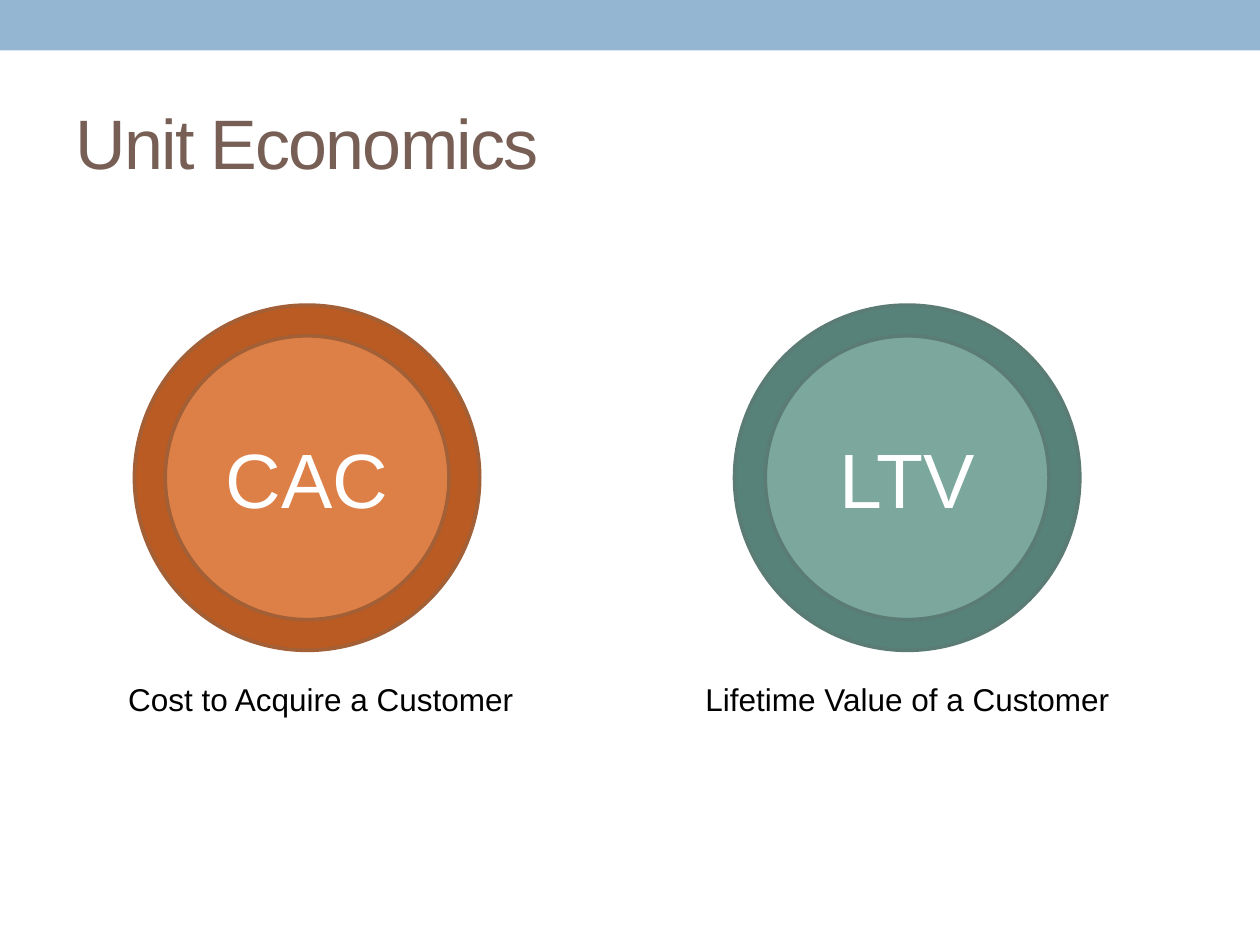
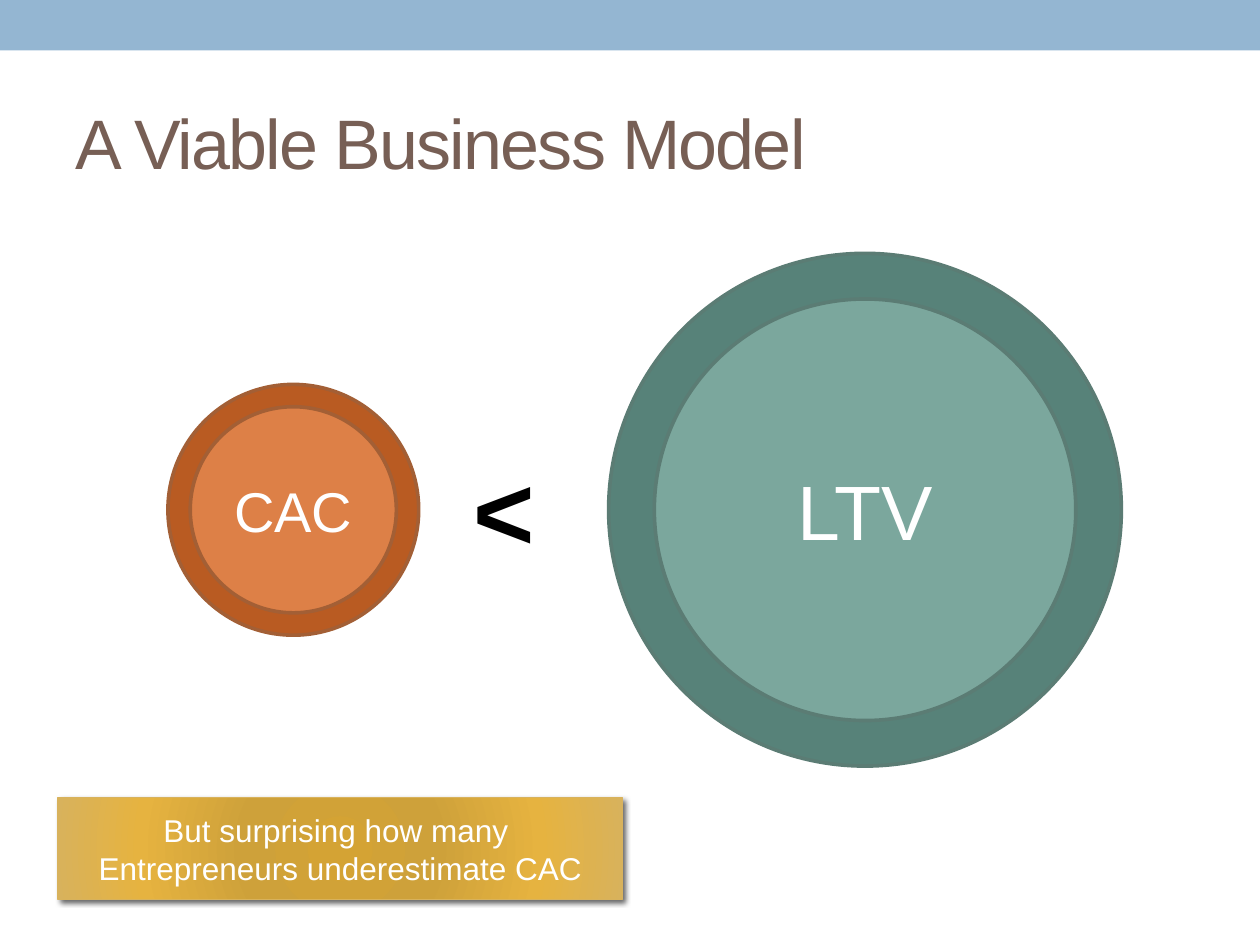
from lxml import etree
from pptx import Presentation
from pptx.dml.color import RGBColor
from pptx.enum.shapes import MSO_SHAPE as Shape
from pptx.enum.text import MSO_ANCHOR as Anchor, MSO_AUTO_SIZE as AutoSize, PP_ALIGN as Align
from pptx.oxml import parse_xml
from pptx.oxml.ns import nsdecls
from pptx.util import Pt

# Content: lengths in points
COLORS = {
    "band": "94B6D2", "title": "775F55", "black": "000000", "white": "FFFFFF",
    "note_line": "D8B25C",
}
DISC_COLORS = {
    "CAC": {"ring": "B95B22", "core": "DD8047", "line": "A35F35"},
    "LTV": {"ring": "578279", "core": "7BA79D", "line": "5B7C74"},
}
NOTE_STOPS = [(0, "D4A334"), (34, "CEA13A"), (70, "E6B340"), (100, "D8B25C")]
FONT = "Arial"
CORE_RATIO = 0.822

# discs: label, centre x, centre y, diameter, text size
# texts: lines, (left, top, width, height), size, bold, alignment
SLIDES = [
    {
        "title": "Unit Economics",
        "discs": [("CAC", 175.5, 273, 197.3, 44), ("LTV", 518.4, 273, 197.3, 44)],
        "texts": [
            (["Cost to Acquire a Customer"], (64.8, 385.2, 236.9, 28.8), 18, False, Align.CENTER),
            (["Lifetime Value of a Customer"], (394.6, 385.2, 247.7, 28.8), 18, False, Align.CENTER),
        ],
    },
    {
        "title": "A Viable Business Model",
        "discs": [("CAC", 167.6, 291.3, 143.3, 32), ("LTV", 494.3, 291.3, 293, 44)],
        "texts": [(["<"], (263.5, 251.3, 51.1, 79.9), 60, True, Align.LEFT)],
        "note": (["But surprising how many ", "Entrepreneurs underestimate CAC"],
                 (33.1, 455.8, 322.6, 58.3)),
    },
]


# Helpers
def rgb(code):
    return RGBColor.from_string(code)


def write(box, lines, size, color, align=Align.LEFT, bold=False, wrap=True, anchor=Anchor.MIDDLE):
    frame = box.text_frame
    frame.word_wrap = wrap
    frame.vertical_anchor = anchor
    para = frame.paragraphs[0]
    para.alignment = align
    for number, line in enumerate(lines):
        if number:
            para.add_line_break()
        span = para.add_run()
        span.text = line
        span.font.name = FONT
        span.font.size = Pt(size)
        span.font.bold = bold
        span.font.color.rgb = rgb(color)
    return para


def add_text(page, lines, place, size, color, **style):
    box = page.shapes.add_textbox(*map(Pt, place))
    return write(box, lines, size, color, **style)


def add_filled(shapes, kind, place, fill, line=None, width=0):
    shape = shapes.add_shape(kind, *map(Pt, place))
    shape.shadow.inherit = False
    shape.fill.solid()
    shape.fill.fore_color.rgb = rgb(fill)
    if line:
        shape.line.color.rgb = rgb(line)
        shape.line.width = Pt(width)
    else:
        shape.line.fill.background()
    return shape


def add_disc(page, label, center_x, center_y, diameter, size):
    group = page.shapes.add_group_shape()
    colors = DISC_COLORS[label]
    for part, across in (("ring", diameter), ("core", diameter * CORE_RATIO)):
        place = (center_x - across / 2, center_y - across / 2, across, across)
        circle = add_filled(group.shapes, Shape.OVAL, place, colors[part], colors["line"], 2.08)
    write(circle, [label], size, COLORS["white"], align=Align.CENTER)


def add_note(page, lines, place):
    note = add_filled(page.shapes, Shape.RECTANGLE, place, NOTE_STOPS[0][1], COLORS["note_line"], 0.75)
    props = note.element.spPr
    # Radial gradient
    stops = "".join(f'<a:gs pos="{position * 1000}"><a:srgbClr val="{color}"/></a:gs>'
                    for position, color in NOTE_STOPS)
    gradient = parse_xml(
        f'<a:gradFill {nsdecls("a")} rotWithShape="1"><a:gsLst>{stops}</a:gsLst><a:path path="circle">'
        '<a:fillToRect l="100000" t="100000" r="100000" b="100000"/></a:path></a:gradFill>')
    namespaces = {"a": etree.QName(gradient).namespace}
    props.replace(props.find("a:solidFill", namespaces), gradient)
    # Soft shadow to the lower right
    props.find("a:effectLst", namespaces).append(parse_xml(
        f'<a:outerShdw {nsdecls("a")} blurRad="{Pt(3)}" dist="{Pt(2)}" dir="2700000" algn="tl" '
        f'rotWithShape="0"><a:srgbClr val="{COLORS["black"]}"><a:alpha val="60000"/></a:srgbClr></a:outerShdw>'))
    frame = note.text_frame
    frame.margin_left = frame.margin_right = Pt(21.6)
    frame.margin_top = frame.margin_bottom = Pt(7.2)
    write(note, lines, 18, COLORS["white"], align=Align.CENTER, wrap=False)
    frame.auto_size = AutoSize.SHAPE_TO_FIT_TEXT


def add_page(deck, title):
    page = deck.slides.add_slide(deck.slide_layouts[6])
    add_filled(page.shapes, Shape.RECTANGLE, (0, 0, 720, 28.8), COLORS["band"])
    heading = add_text(page, [title], (36, 41.8, 648, 77.8), 40, COLORS["title"])
    heading.runs[0].font._element.set("spc", "-100")
    return page


# Build
def main():
    deck = Presentation()
    deck.slide_width, deck.slide_height = Pt(720), Pt(540)
    for content in SLIDES:
        page = add_page(deck, content["title"])
        for disc in content["discs"]:
            add_disc(page, *disc)
        for lines, place, size, bold, align in content["texts"]:
            add_text(page, lines, place, size, COLORS["black"], align=align, bold=bold,
                     wrap=False, anchor=Anchor.TOP)
        if "note" in content:
            add_note(page, *content["note"])
    deck.save("out.pptx")


if __name__ == "__main__":
    main()
